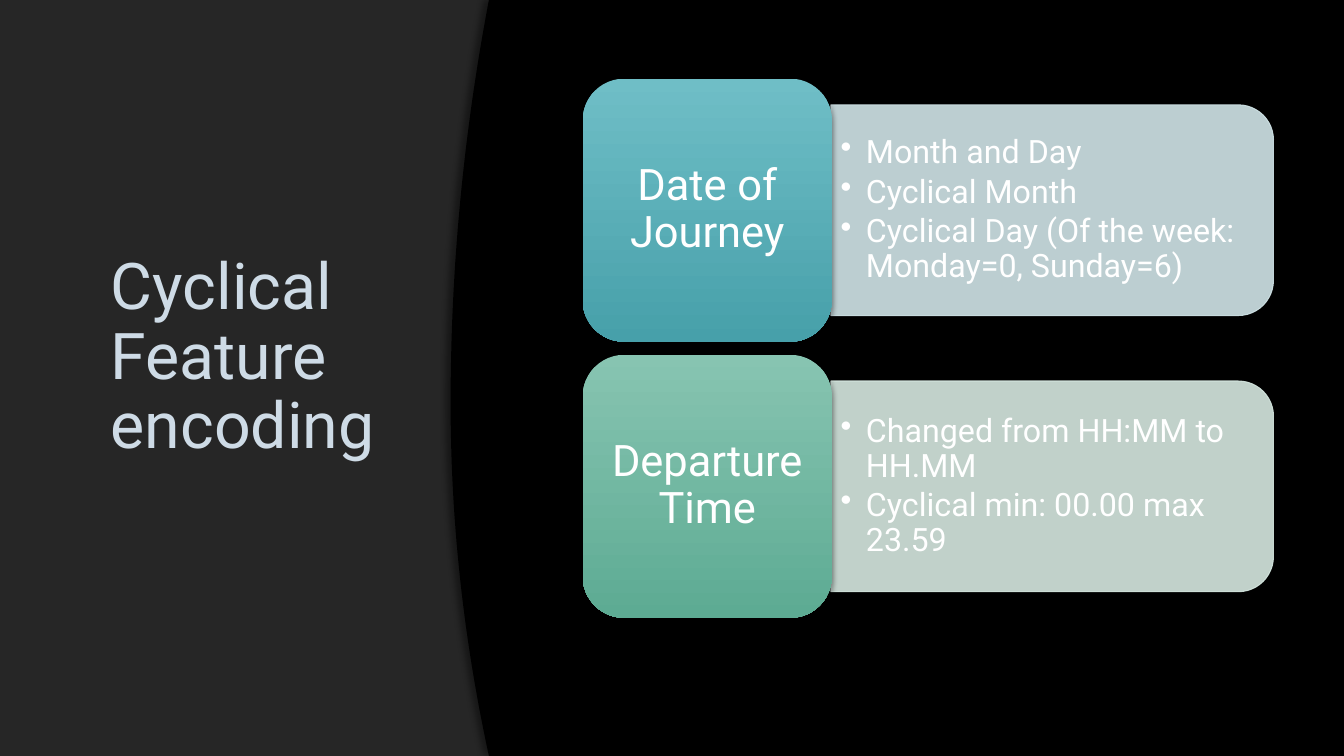
"""Builds the slide on cyclical feature encoding."""
from dataclasses import dataclass

from lxml import etree
from pptx import Presentation
from pptx import util as u
from pptx.dml.color import RGBColor
from pptx.enum import shapes, text
from pptx.oxml import parse_xml
from pptx.oxml.ns import qn

BLACK = RGBColor(0x00, 0x00, 0x00)
CHARCOAL = RGBColor(0x26, 0x26, 0x26)
OUTLINE = RGBColor(0x40, 0x40, 0x40)
HEADING = RGBColor(0xCE, 0xDB, 0xE6)
WHITE = RGBColor(0xFF, 0xFF, 0xFF)
TEAL_TOP = RGBColor(0x6F, 0xBE, 0xC6)
TEAL_BASE = RGBColor(0x47, 0xA0, 0xAA)
TEAL_PALE = RGBColor(0xD1, 0xE5, 0xE8)
GREEN_TOP = RGBColor(0x87, 0xC4, 0xB1)
GREEN_BASE = RGBColor(0x5D, 0xAB, 0x93)
GREEN_PALE = RGBColor(0xD6, 0xE8, 0xE1)

FONT = "Roboto"
DRAWING = "http://schemas.openxmlformats.org/drawingml/2006/main"
WIDTH, HEIGHT = u.Inches(13.33), u.Inches(7.5)
COLUMN, ROW = WIDTH / 100, HEIGHT / 100


@dataclass(frozen=True)
class Area:
    """A rectangle in hundredths of the slide."""
    column: float
    row: float
    columns: float
    rows: float

    def box(self, shift: float = 0) -> tuple[int, int, int, int]:
        """Return left, top, width and height, moved down by some rows."""
        return (round(self.column * COLUMN), round((self.row + shift) * ROW),
                round(self.columns * COLUMN), round(self.rows * ROW))


@dataclass(frozen=True)
class Feature:
    """An encoded feature with its steps and colours."""
    label: str
    steps: tuple[str, ...]
    top: RGBColor
    base: RGBColor
    pale: RGBColor


TITLE = Area(7.5, 8.93, 22.96, 76.93)
PANEL = Area(61.82, 13.87, 32.93, 27.87)
STEPS = Area(61.82, 15.2, 32.11, 25.2)
CARD = Area(43.36, 10.4, 18.53, 34.8)
LABEL = Area(44.26, 12, 16.73, 31.6)
PITCH = 36.53

FEATURES = (
    Feature("Date of Journey",
            ("Month and Day", "Cyclical Month",
             "Cyclical Day (Of the week: Monday=0, Sunday=6)"),
            TEAL_TOP, TEAL_BASE, TEAL_PALE),
    Feature("Departure Time",
            ("Changed from HH:MM to HH.MM", "Cyclical min: 00.00 max 23.59"),
            GREEN_TOP, GREEN_BASE, GREEN_PALE),
)


def shadow(opacity: int, blur: float, distance: float, angle: int):
    """Return an effect list with one black outer shadow."""
    return parse_xml(
        f'<a:effectLst xmlns:a="{DRAWING}"><a:outerShdw blurRad="{u.Pt(blur)}" '
        f'dist="{u.Pt(distance)}" dir="{angle * 60000}" algn="ctr" rotWithShape="0">'
        f'<a:srgbClr val="{BLACK}"><a:alpha val="{opacity * 1000}"/></a:srgbClr>'
        f'</a:outerShdw></a:effectLst>')


def set_opacity(holder, percent: int) -> None:
    """Make the solid colours below an element partly transparent."""
    for colour in holder.iter(qn("a:srgbClr")):
        etree.SubElement(colour, qn("a:alpha")).set("val", str(percent * 1000))


def style_text(paragraph, size: float, colour: RGBColor, gap: float = 0) -> None:
    """Format a paragraph; the gap after it is a share of the text size."""
    paragraph.line_spacing = 0.9
    paragraph.space_before = u.Pt(0)
    paragraph.space_after = u.Pt(gap * size)
    for run in paragraph.runs:
        run.font.name = FONT
        run.font.size = u.Pt(size)
        run.font.color.rgb = colour


def add_text(slide, box: tuple, lines: tuple[str, ...], inset: float):
    """Add a wrapped, vertically centred text box and return its frame."""
    frame = slide.shapes.add_textbox(*box).text_frame
    frame.word_wrap = True
    frame.auto_size = text.MSO_AUTO_SIZE.NONE
    frame.vertical_anchor = text.MSO_ANCHOR.MIDDLE
    frame.margin_left = frame.margin_right = u.Inches(inset)
    frame.margin_top = frame.margin_bottom = u.Inches(inset / 2)
    frame.text = "\n".join(lines)
    return frame


def add_backdrop(slide) -> None:
    """Fill the slide with the charcoal ground."""
    ground = slide.shapes.add_shape(shapes.MSO_SHAPE.RECTANGLE, 0, 0, WIDTH, HEIGHT)
    ground.shadow.inherit = False
    ground.fill.solid()
    ground.fill.fore_color.rgb = CHARCOAL
    ground.line.fill.background()


def add_heading(slide) -> None:
    """Place and format the title above the ground."""
    heading = slide.shapes.title
    slide.shapes._spTree.append(heading._element)
    heading.left, heading.top, heading.width, heading.height = TITLE.box()
    frame = heading.text_frame
    frame.text = "Cyclical Feature encoding"
    frame.word_wrap = True
    frame.auto_size = text.MSO_AUTO_SIZE.NONE
    frame.vertical_anchor = text.MSO_ANCHOR.MIDDLE
    wording = frame.paragraphs[0]
    wording.alignment = text.PP_ALIGN.LEFT
    style_text(wording, 46, HEADING)
    properties = wording.runs[0].font._element
    outline = parse_xml(
        f'<a:ln xmlns:a="{DRAWING}" w="{u.Pt(0.75)}"><a:solidFill>'
        f'<a:srgbClr val="{OUTLINE}"/></a:solidFill></a:ln>')
    set_opacity(outline, 10)
    properties.insert(0, outline)
    properties.find(qn("a:solidFill")).addnext(shadow(40, 3, 2, 90))


def add_curve(slide) -> None:
    """Draw the black area whose left edge bows towards the title."""
    edge, depth, turn, steps = 33.53, 2.85, 53.33, 60
    outline = []
    for step in range(steps, -1, -1):
        row = 100 * step / steps
        reach = turn if row < turn else 100 - turn
        column = edge + depth * ((row - turn) / reach) ** 2
        outline.append((round(column * COLUMN), round(row * ROW)))
    builder = slide.shapes.build_freeform(WIDTH, 0)
    builder.add_line_segments([(WIDTH, HEIGHT), *outline], close=True)
    curve = builder.convert_to_shape()
    curve.fill.solid()
    curve.fill.fore_color.rgb = BLACK
    curve.line.fill.background()
    curve._element.spPr.append(shadow(40, 4, 3, 180))


def add_panel(slide, feature: Feature, shift: float) -> None:
    """Add the pale panel, turned so that its round corners face right."""
    left, top, width, height = PANEL.box(shift)
    turn = (width - height) // 2
    panel = slide.shapes.add_shape(shapes.MSO_SHAPE.ROUND_2_SAME_RECTANGLE,
                                   left + turn, top - turn, height, width)
    panel.rotation = 90
    panel.shadow.inherit = False
    panel.fill.solid()
    panel.fill.fore_color.rgb = feature.pale
    panel.line.color.rgb = feature.pale
    panel.line.width = u.Pt(0.75)
    set_opacity(panel._element.spPr, 90)


def add_steps(slide, feature: Feature, shift: float) -> None:
    """Add the bulleted steps on the panel."""
    frame = add_text(slide, STEPS.box(shift), feature.steps, 0.1)
    for step in frame.paragraphs:
        step.level = 1
        properties = step._p.get_or_add_pPr()
        properties.set("marL", str(u.Inches(0.25)))
        properties.set("indent", str(-u.Inches(0.25)))
        etree.SubElement(properties, qn("a:buChar")).set("char", "•")
        style_text(step, 23, WHITE, 0.15)


def add_card(slide, feature: Feature, shift: float) -> None:
    """Add the gradient card and its label."""
    card = slide.shapes.add_shape(shapes.MSO_SHAPE.ROUNDED_RECTANGLE, *CARD.box(shift))
    card.fill.gradient()
    card.fill.gradient_angle = 270
    for stop, position, colour in zip(card.fill.gradient_stops, (0, 1),
                                      (feature.top, feature.base)):
        stop.position = position
        stop.color.rgb = colour
    card.line.fill.background()
    card._element.spPr.append(shadow(60, 5, 2, 90))
    label = add_text(slide, LABEL.box(shift), (feature.label,), 0.13).paragraphs[0]
    label.alignment = text.PP_ALIGN.CENTER
    style_text(label, 31, WHITE, 0.35)


def main() -> None:
    """Build and save the slide."""
    deck = Presentation()
    deck.slide_width, deck.slide_height = WIDTH, HEIGHT
    slide = deck.slides.add_slide(deck.slide_layouts.get_by_name("Title Only"))
    slide.background.fill.solid()
    slide.background.fill.fore_color.rgb = BLACK
    add_backdrop(slide)
    add_heading(slide)
    add_curve(slide)
    for index, feature in enumerate(FEATURES):
        for add_part in (add_panel, add_steps, add_card):
            add_part(slide, feature, index * PITCH)
    deck.save("out.pptx")


if __name__ == "__main__":
    main()
